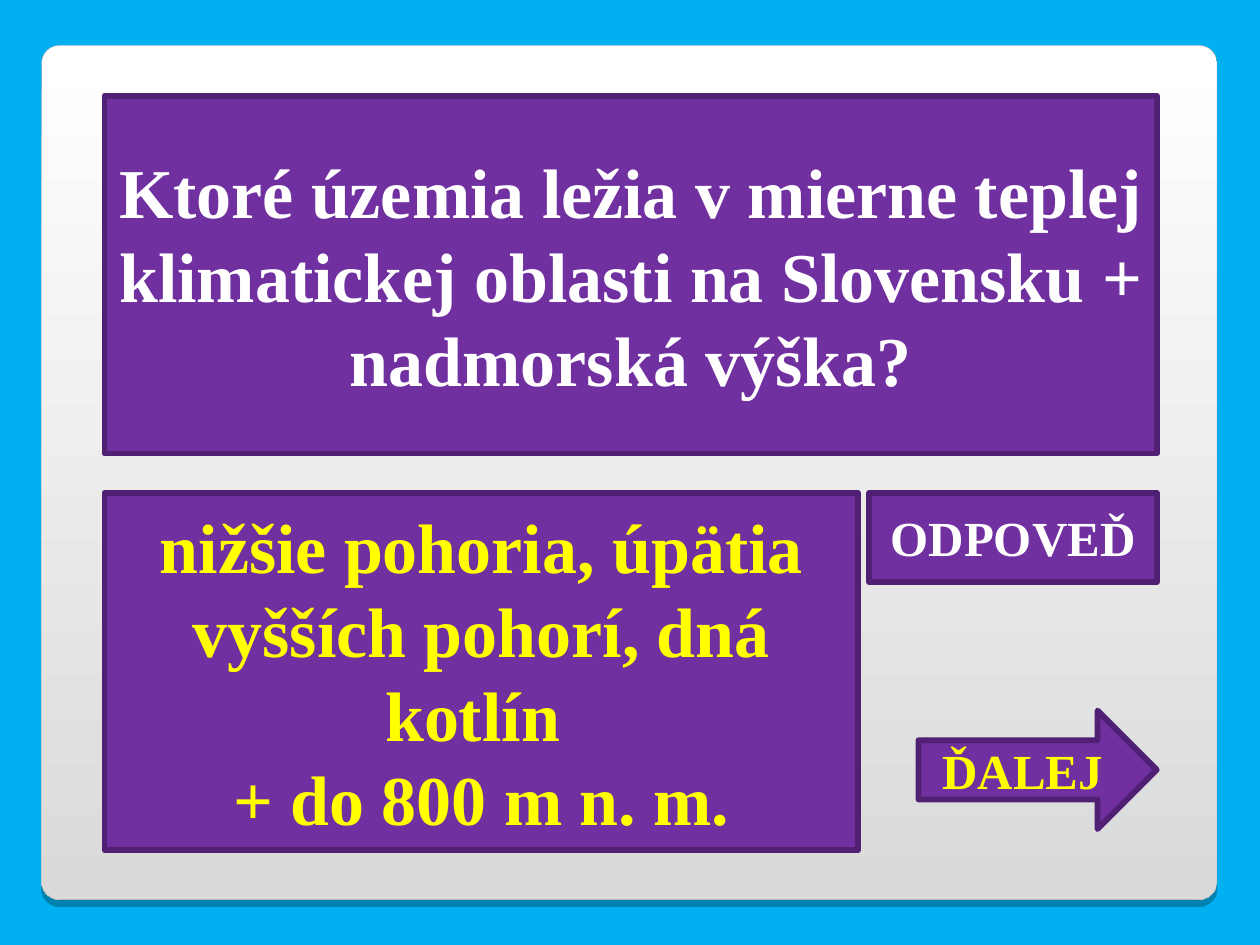
from dataclasses import dataclass

from lxml.etree import SubElement
from pptx import Presentation
from pptx.dml.color import RGBColor
from pptx.enum.shapes import MSO_SHAPE as Preset
from pptx.enum.text import MSO_ANCHOR as Anchor, PP_ALIGN as Align
from pptx.oxml.ns import qn
from pptx.util import Inches, Pt


@dataclass(frozen=True)
class Theme:
    sky: RGBColor = RGBColor(0x00, 0xB0, 0xF0)
    purple: RGBColor = RGBColor(0x70, 0x30, 0xA0)
    border: RGBColor = RGBColor(0x50, 0x20, 0x74)
    white: RGBColor = RGBColor(0xFF, 0xFF, 0xFF)
    silver: RGBColor = RGBColor(0xDA, 0xDA, 0xDA)
    grey: RGBColor = RGBColor(0xA4, 0xA3, 0xA3)
    yellow: RGBColor = RGBColor(0xFF, 0xFF, 0x00)
    font: str = "Times New Roman"
    large: int = 40
    small: int = 28


THEME = Theme()


def add_preset(page, preset, box):
    """Add a shadowless shape at box: left, top, width, height in inches."""
    shape = page.shapes.add_shape(preset, *map(Inches, box))
    shape.shadow.inherit = False
    return shape


def add_drop_shadow(shape):
    effects = shape._element.spPr.find(qn("a:effectLst"))
    shadow = SubElement(effects, qn("a:outerShdw"), dist=str(Pt(4)),
                        dir="5400000", algn="tl", rotWithShape="0")
    colour = SubElement(shadow, qn("a:srgbClr"), val="000000")
    SubElement(colour, qn("a:alpha"), val="25000")


def add_panel(page, box):
    """Add the rounded panel that carries the quiz card."""
    panel = add_preset(page, Preset.ROUNDED_RECTANGLE, box)
    panel.adjustments[0] = 0.021
    panel.fill.gradient()
    panel.fill.gradient_angle = 270
    for stop, colour, position in zip(panel.fill.gradient_stops,
                                      (THEME.white, THEME.silver), (0, 1)):
        stop.color.rgb = colour
        stop.position = position
    panel.line.color.rgb = THEME.grey
    panel.line.width = Pt(0.17)
    add_drop_shadow(panel)


def add_tile(page, box, text, size, colour, preset=Preset.RECTANGLE):
    tile = add_preset(page, preset, box)
    tile.fill.solid()
    tile.fill.fore_color.rgb = THEME.purple
    tile.line.color.rgb = THEME.border
    tile.line.width = Pt(3.34)
    frame = tile.text_frame
    frame.word_wrap = True
    frame.vertical_anchor = Anchor.MIDDLE
    frame.text = text
    for para in frame.paragraphs:
        para.alignment = Align.CENTER
        for span in para.runs:
            span.font.name = THEME.font
            span.font.size = Pt(size)
            span.font.bold = True
            span.font.color.rgb = colour


def add_quiz_card(page, box):
    """Place the question above, and the answer beside its two buttons."""
    left, top, width, height = box
    tile_height = 2.84
    answer_top = top + height - tile_height
    answer_width, button_width, arrow_width = 5.98, 2.28, 1.89
    right = left + width

    add_tile(page, (left, top, width, tile_height),
             "Ktoré územia ležia v mierne teplej klimatickej oblasti "
             "na Slovensku + nadmorská výška?", THEME.large, THEME.white)
    add_tile(page, (left, answer_top, answer_width, tile_height),
             "nižšie pohoria, úpätia vyšších pohorí, dná kotlín \n"
             "+ do 800 m n. m.", THEME.large, THEME.yellow)
    add_tile(page, (right - button_width, answer_top, button_width, 0.71),
             "ODPOVEĎ", THEME.small, THEME.white)
    add_tile(page, (right - arrow_width, answer_top + 1.73, arrow_width, 0.94),
             "ĎALEJ", THEME.small, THEME.yellow, Preset.RIGHT_ARROW)


def main():
    deck = Presentation()
    deck.slide_width, deck.slide_height = Inches(10), Inches(7.5)
    page = deck.slides.add_slide(deck.slide_layouts[6])
    page.background.fill.solid()
    page.background.fill.fore_color.rgb = THEME.sky
    add_panel(page, (0.33, 0.36, 9.33, 6.78))
    add_quiz_card(page, (0.83, 0.76, 8.35, 5.99))
    deck.save("out.pptx")


if __name__ == "__main__":
    main()
